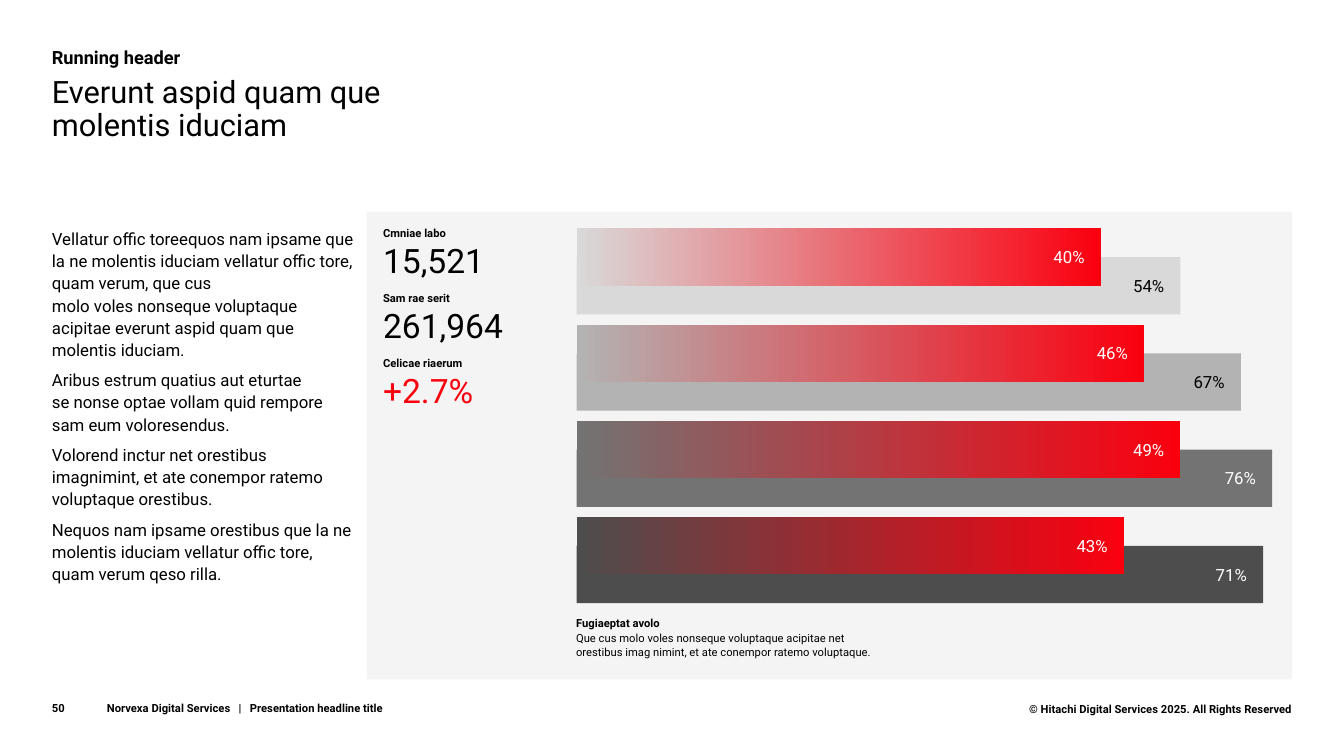
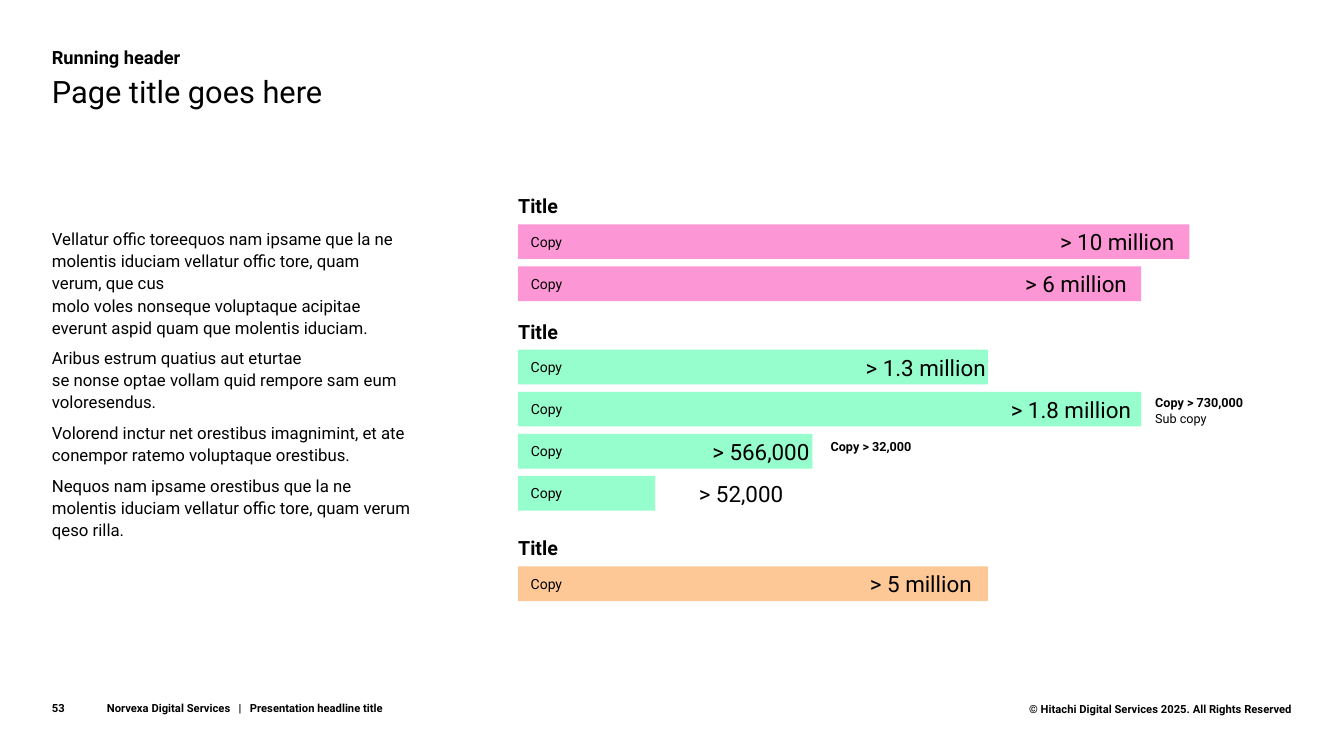
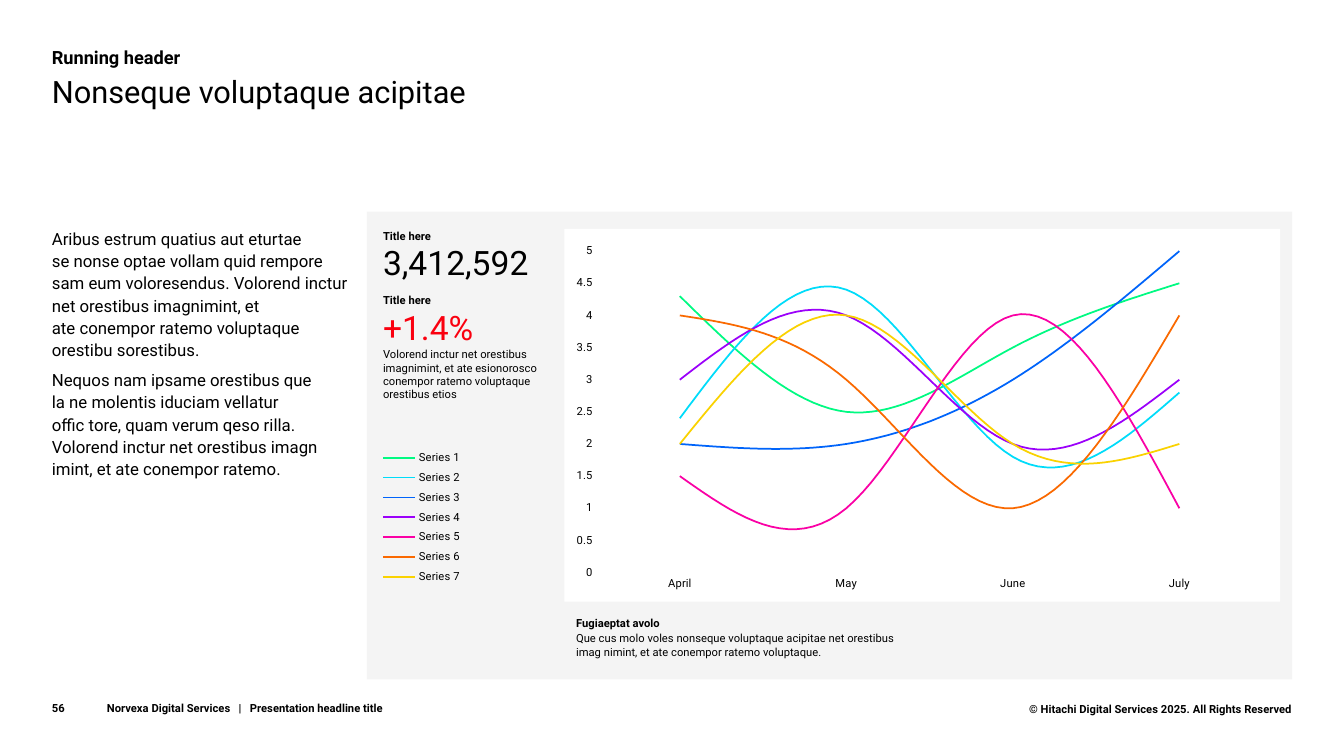
"""Build three data slides on a grid of tenth-inch columns and rows."""
from collections.abc import Sequence
from dataclasses import dataclass

import lxml.etree
import pptx
import pptx.chart.data
import pptx.dml.color
import pptx.enum.chart
import pptx.enum.shapes
import pptx.enum.text
import pptx.util
from pptx.chart.chart import Chart
from pptx.dml.fill import FillFormat
from pptx.presentation import Presentation
from pptx.shapes.autoshape import Shape
from pptx.slide import Slide
from pptx.text.text import TextFrame

FONT = "Roboto"
BLACK, WHITE, RED, PANEL_GREY = "000000", "FFFFFF", "FA000F", "F4F4F4"
COLUMNS, ROWS = 133.33, 75
MARGIN, RIGHT_EDGE = 5.15, 128.2
BODY_TOP = 22.5
PANEL_LEFT, PANEL_TOP, PANEL_HEIGHT = 36.4, 21, 46.4
STATS_LEFT = 38
LEFT = pptx.enum.text.PP_ALIGN.LEFT
RIGHT = pptx.enum.text.PP_ALIGN.RIGHT
TOP = pptx.enum.text.MSO_ANCHOR.TOP
MIDDLE = pptx.enum.text.MSO_ANCHOR.MIDDLE
BOTTOM = pptx.enum.text.MSO_ANCHOR.BOTTOM


@dataclass(frozen=True)
class Box:
    """A place on the grid, in columns and rows."""
    left: float
    top: float
    width: float
    height: float


@dataclass(frozen=True)
class Line:
    """A paragraph and its look."""
    text: str
    size: float = 12
    bold: bool = False
    color: str = BLACK
    before: float = 0


@dataclass(frozen=True)
class PairedBar:
    """A gradient bar in front of a plain one."""
    color: str
    label_color: str
    front_label: str
    front_width: float
    back_label: str
    back_width: float


@dataclass(frozen=True)
class ValueBar:
    """A labelled bar and the right edge of its value."""
    width: float
    value: str
    value_right: float


@dataclass(frozen=True)
class BarGroup:
    """A titled stack of bars in one colour."""
    top: float
    color: str
    bars: tuple[ValueBar, ...]


PAIRED_BARS = (
    PairedBar("D9D9D9", BLACK, "40%", 52, "54%", 59.9),
    PairedBar("B3B3B3", BLACK, "46%", 56.3, "67%", 65.9),
    PairedBar("737373", WHITE, "49%", 59.9, "76%", 69),
    PairedBar("4D4D4D", WHITE, "43%", 54.3, "71%", 68.1),
)
BAR_GROUPS = (
    BarGroup(22.25, "FD96D4", (
        ValueBar(66.6, "> 10 million", 116.5),
        ValueBar(61.8, "> 6 million", 111.8))),
    BarGroup(34.7, "96FDCC", (
        ValueBar(46.6, "> 1.3 million", 97.8),
        ValueBar(61.8, "> 1.8 million", 112.2),
        ValueBar(29.2, "> 566,000", 80.3),
        ValueBar(13.6, "> 52,000", 77.7))),
    BarGroup(56.2, "FDC796", (ValueBar(46.6, "> 5 million", 96.4),)),
)
MONTHS = ("April", "May", "June", "July")
SERIES = (
    ("00FA82", (4.3, 2.5, 3.5, 4.5)),
    ("00DCFA", (2.4, 4.4, 1.8, 2.8)),
    ("0064FA", (2, 2, 3, 5)),
    ("9B00FA", (3, 4, 2, 3)),
    ("FA00A5", (1.5, 1, 4, 1)),
    ("FA6900", (4, 3, 1, 4)),
    ("FAD200", (2, 4, 2, 2)),
)
BODY = (
    "Vellatur offic toreequos nam ipsame que la ne molentis iduciam vellatur offic tore, "
    "quam verum, que cus\vmolo voles nonseque voluptaque acipitae everunt aspid quam que "
    "molentis iduciam.",
    "Aribus estrum quatius aut eturtae\vse nonse optae vollam quid rempore sam eum voloresendus.",
    "Volorend inctur net orestibus imagnimint, et ate conempor ratemo voluptaque orestibus.",
    "Nequos nam ipsame orestibus que la ne molentis iduciam vellatur offic tore, quam verum "
    "qeso rilla.",
)
CHART_BODY = (
    "Aribus estrum quatius aut eturtae\vse nonse optae vollam quid rempore sam eum "
    "voloresendus. Volorend inctur net orestibus imagnimint, et\vate conempor ratemo "
    "voluptaque orestibu sorestibus.",
    "Nequos nam ipsame orestibus que\vla ne molentis iduciam vellatur\voffic tore, quam verum "
    "qeso rilla. Volorend inctur net orestibus imagn imint, et ate conempor ratemo.",
)


def grid(count: float) -> pptx.util.Length:
    """Return the length of a number of columns or rows."""
    return pptx.util.Inches(count / 10)


def extent(box: Box) -> tuple[pptx.util.Length, ...]:
    """Return the left, top, width and height of a box."""
    return grid(box.left), grid(box.top), grid(box.width), grid(box.height)


def rgb(color: str) -> pptx.dml.color.RGBColor:
    """Turn a hex string into a colour."""
    return pptx.dml.color.RGBColor.from_string(color)


def paint(fill: FillFormat, color: str) -> None:
    """Fill with one colour."""
    fill.solid()
    fill.fore_color.rgb = rgb(color)


def write(frame: TextFrame, lines: Sequence[Line], spacing: float = 1.0,
          align: pptx.enum.text.PP_ALIGN = LEFT,
          anchor: pptx.enum.text.MSO_ANCHOR = TOP,
          inset_left: float = 0, inset_right: float = 0) -> None:
    """Put formatted paragraphs into a text frame."""
    frame.text = "\n".join(line.text for line in lines)
    frame.word_wrap = True
    frame.auto_size = pptx.enum.text.MSO_AUTO_SIZE.NONE
    frame.vertical_anchor = anchor
    frame.margin_top = frame.margin_bottom = 0
    frame.margin_left, frame.margin_right = grid(inset_left), grid(inset_right)
    for index, (paragraph, line) in enumerate(zip(frame.paragraphs, lines)):
        paragraph.alignment = align
        paragraph.line_spacing = spacing
        paragraph.space_before = pptx.util.Pt(line.before if index else 0)
        for run in paragraph.runs:
            run.font.name = FONT
            run.font.size = pptx.util.Pt(line.size)
            run.font.bold = line.bold
            run.font.color.rgb = rgb(line.color)


def add_text(slide: Slide, box: Box, lines: Sequence[Line], spacing: float = 1.0,
             align: pptx.enum.text.PP_ALIGN = LEFT,
             anchor: pptx.enum.text.MSO_ANCHOR = TOP) -> None:
    """Add a text box."""
    write(slide.shapes.add_textbox(*extent(box)).text_frame, lines, spacing, align, anchor)


def add_rectangle(slide: Slide, box: Box, color: str) -> Shape:
    """Add a plain rectangle."""
    shape = slide.shapes.add_shape(pptx.enum.shapes.MSO_SHAPE.RECTANGLE, *extent(box))
    shape.shadow.inherit = False
    shape.line.fill.background()
    paint(shape.fill, color)
    return shape


def add_page(presentation: Presentation, number: int, title: str,
             body: Sequence[str], body_width: float) -> Slide:
    """Add a slide with its header, title, body text and footer."""
    slide = presentation.slides.add_slide(presentation.slide_layouts[5])
    heading = slide.shapes.title
    heading.left, heading.top, heading.width, heading.height = extent(
        Box(MARGIN, 7.6, 81.4, 3.35 * (title.count("\v") + 1)))
    write(heading.text_frame, [Line(title, 22)], 0.9)
    add_text(slide, Box(MARGIN, 4.4, 50.2, 2.3), [Line("Running header", 13, True)], 1.1)
    add_text(slide, Box(MARGIN, BODY_TOP, body_width, 41.1),
             [Line(text, before=6) for text in body], 1.1)
    add_text(slide, Box(MARGIN, 69.3, 4.7, 1.6), [Line(str(number), 8, True)], anchor=BOTTOM)
    add_text(slide, Box(10.6, 69.3, 39.8, 1.6),
             [Line("Norvexa Digital Services   |   Presentation headline title", 8, True)],
             anchor=BOTTOM)
    add_text(slide, Box(RIGHT_EDGE - 31.7, 69.7, 31.7, 1.4),
             [Line("© Hitachi Digital Services 2025. All Rights Reserved", 8, True)],
             align=RIGHT)
    return slide


def add_panel(slide: Slide) -> None:
    """Add the grey panel behind the data."""
    add_rectangle(slide, Box(PANEL_LEFT, PANEL_TOP, RIGHT_EDGE - PANEL_LEFT, PANEL_HEIGHT),
                  PANEL_GREY)


def add_stats(slide: Slide, top: float, stats: Sequence[tuple[str, str]],
              note: str = "") -> None:
    """Add labelled figures, the last one in red, and a note."""
    lines = []
    for label, figure in stats:
        color = RED if figure == stats[-1][1] else BLACK
        lines += [Line(label, 8, True, before=8), Line(figure, 24, color=color)]
    if note:
        lines.append(Line(note, 8))
    add_text(slide, Box(STATS_LEFT, top, 18.1, 19.8), lines)


def add_caption(slide: Slide, text: str) -> None:
    """Add the caption under the data."""
    add_text(slide, Box(57.15, 61, 32.2, 4.4),
             [Line("Fugiaeptat avolo", 8, True), Line(text, 8)], 1.1)


def add_paired_bars(slide: Slide) -> None:
    """Draw each gradient bar over its plain bar."""
    left, first_top, pitch, height = 57.2, 22.65, 9.55, 5.7
    for index, bar in enumerate(PAIRED_BARS):
        top = first_top + index * pitch
        back = add_rectangle(slide, Box(left, top + height / 2, bar.back_width, height),
                             bar.color)
        front = add_rectangle(slide, Box(left, top, bar.front_width, height), bar.color)
        front.fill.gradient()
        front.fill.gradient_angle = 0
        for stop, color in zip(front.fill.gradient_stops, (bar.color, RED)):
            stop.color.rgb = rgb(color)
        for shape, label, color in ((back, bar.back_label, bar.label_color),
                                    (front, bar.front_label, WHITE)):
            write(shape.text_frame, [Line(label, color=color)], align=RIGHT,
                  anchor=MIDDLE, inset_right=1.6)


def add_bar_groups(slide: Slide) -> None:
    """Draw the titled groups of bars with their values."""
    left, pitch, height, value_width = 51.4, 4.17, 3.45, 19
    for group in BAR_GROUPS:
        add_text(slide, Box(left, group.top - 3, 7.5, 2.3), [Line("Title", 14, True)])
        for index, bar in enumerate(group.bars):
            top = group.top + index * pitch
            shape = add_rectangle(slide, Box(left, top, bar.width, height), group.color)
            write(shape.text_frame, [Line("Copy", 10)], anchor=MIDDLE, inset_left=1.25)
            add_text(slide, Box(bar.value_right - value_width, top, value_width, height),
                     [Line(bar.value, 16)], align=RIGHT, anchor=MIDDLE)


def manual_layout(**shares: float) -> lxml.etree._Element:
    """Return a chart layout given as shares of the chart's size."""
    space = "http://schemas.openxmlformats.org/drawingml/2006/chart"
    layout = lxml.etree.Element(f"{{{space}}}layout", nsmap={"c": space})
    manual = lxml.etree.SubElement(layout, f"{{{space}}}manualLayout")
    settings = {"xMode": "edge", "yMode": "edge", **shares}
    if "layoutTarget" in settings:
        settings = {"layoutTarget": settings.pop("layoutTarget"), **settings}
    for name, value in settings.items():
        lxml.etree.SubElement(manual, f"{{{space}}}{name}").set("val", str(value))
    return layout


def place_chart_parts(chart: Chart) -> None:
    """Fix the places of the plot and the legend."""
    for old in chart.element.xpath("c:chart/c:plotArea/c:layout | c:chart/c:legend/c:layout"):
        old.getparent().remove(old)
    plot_area = chart.element.xpath("c:chart/c:plotArea")[0]
    plot_area.insert(0, manual_layout(layoutTarget="inner", x=0.252, y=0.041, w=0.731, h=0.862))
    legend_position = chart.element.xpath("c:chart/c:legend/c:legendPos")[0]
    legend_position.addnext(manual_layout(x=0.01, y=0.56, w=0.1, h=0.39))


def add_line_chart(slide: Slide) -> None:
    """Add the smooth line chart."""
    data = pptx.chart.data.CategoryChartData()
    data.categories = MONTHS
    for number, (_, values) in enumerate(SERIES, 1):
        data.add_series(f"Series {number}", values)
    chart = slide.shapes.add_chart(pptx.enum.chart.XL_CHART_TYPE.LINE,
                                   *extent(Box(PANEL_LEFT, 23.4, 90.4, 37)), data).chart
    chart.has_title = False
    chart.font.name = FONT
    chart.font.size = pptx.util.Pt(8)
    chart.font.color.rgb = rgb(BLACK)
    chart.has_legend = True
    chart.legend.position = pptx.enum.chart.XL_LEGEND_POSITION.LEFT
    chart.legend.include_in_layout = False
    chart.plots[0].vary_by_categories = False
    for axis in (chart.category_axis, chart.value_axis):
        axis.has_major_gridlines = False
        axis.major_tick_mark = axis.minor_tick_mark = pptx.enum.chart.XL_TICK_MARK.NONE
        axis.format.line.fill.background()
    chart.value_axis.minimum_scale = 0
    chart.value_axis.maximum_scale = 5
    chart.value_axis.major_unit = 0.5
    for series, (color, _) in zip(chart.plots[0].series, SERIES):
        series.smooth = True
        series.format.line.width = pptx.util.Pt(1.25)
        series.format.line.color.rgb = rgb(color)
    place_chart_parts(chart)


def build_paired_slide(presentation: Presentation) -> None:
    """Build the slide of paired bars."""
    slide = add_page(presentation, 50, "Everunt aspid quam que\vmolentis iduciam", BODY, 30.2)
    add_panel(slide)
    add_stats(slide, BODY_TOP, (("Cmniae labo", "15,521"), ("Sam rae serit", "261,964"),
                                ("Celicae riaerum", "+2.7%")))
    add_paired_bars(slide)
    add_caption(slide, "Que cus molo voles nonseque voluptaque acipitae net\v"
                       "orestibus imag nimint, et ate conempor ratemo voluptaque.")


def build_group_slide(presentation: Presentation) -> None:
    """Build the slide of bar groups."""
    slide = add_page(presentation, 53, "Page title goes here", BODY, 35.8)
    add_bar_groups(slide)
    add_text(slide, Box(114.6, 39, 16.4, 3.3),
             [Line("Copy > 730,000", 9, True), Line("Sub copy", 9)], 1.1)
    add_text(slide, Box(82.4, 43.4, 15.8, 3.3), [Line("Copy > 32,000", 9, True)], 1.1)


def build_chart_slide(presentation: Presentation) -> None:
    """Build the slide of the line chart."""
    slide = add_page(presentation, 56, "Nonseque voluptaque acipitae", CHART_BODY, 30)
    add_panel(slide)
    add_rectangle(slide, Box(56, 22.7, 71, 37), WHITE)
    add_line_chart(slide)
    add_stats(slide, 22.7, (("Title here", "3,412,592"), ("Title here", "+1.4%")),
              "Volorend inctur net orestibus imagnimint, et ate esionorosco conempor ratemo "
              "voluptaque orestibus etios")
    add_caption(slide, "Que cus molo voles nonseque voluptaque acipitae net orestibus imag "
                       "nimint, et ate conempor ratemo voluptaque.")


def main() -> None:
    """Build and save the presentation."""
    presentation = pptx.Presentation()
    presentation.slide_width, presentation.slide_height = grid(COLUMNS), grid(ROWS)
    build_paired_slide(presentation)
    build_group_slide(presentation)
    build_chart_slide(presentation)
    presentation.save("out.pptx")


if __name__ == "__main__":
    main()
